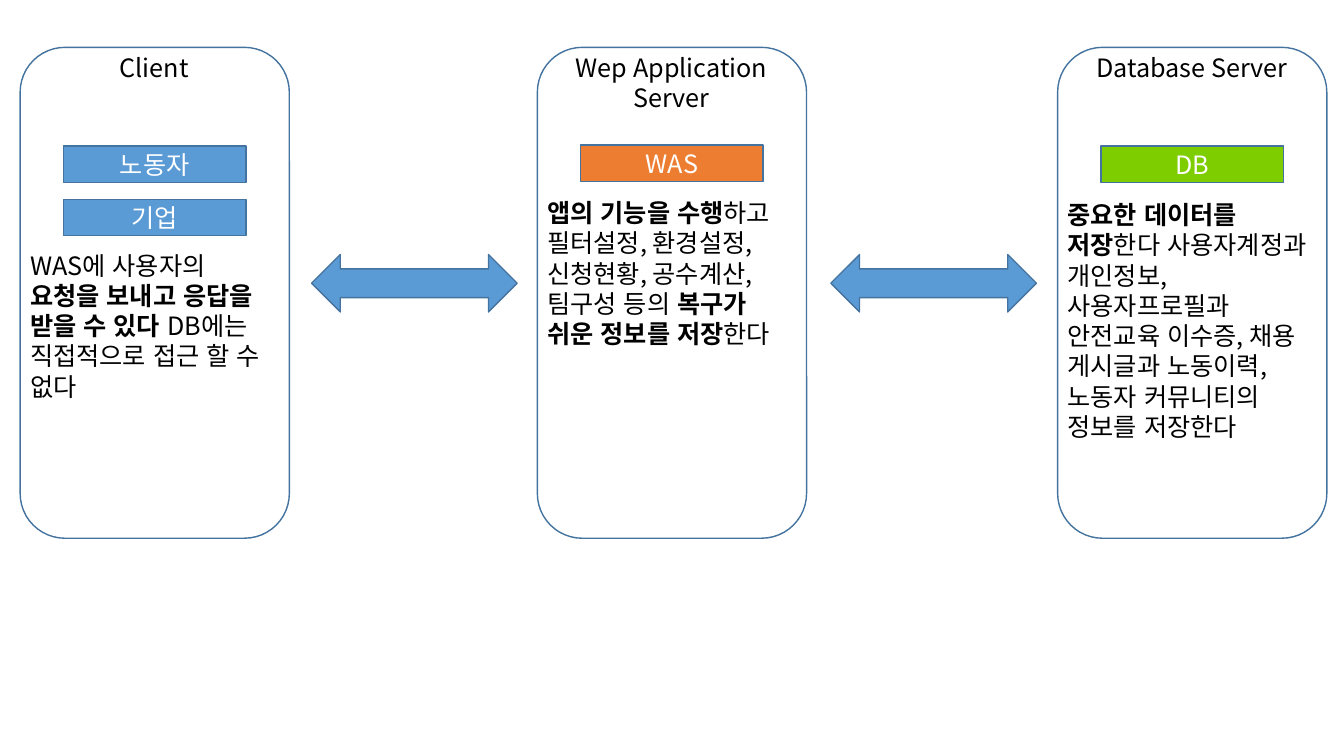
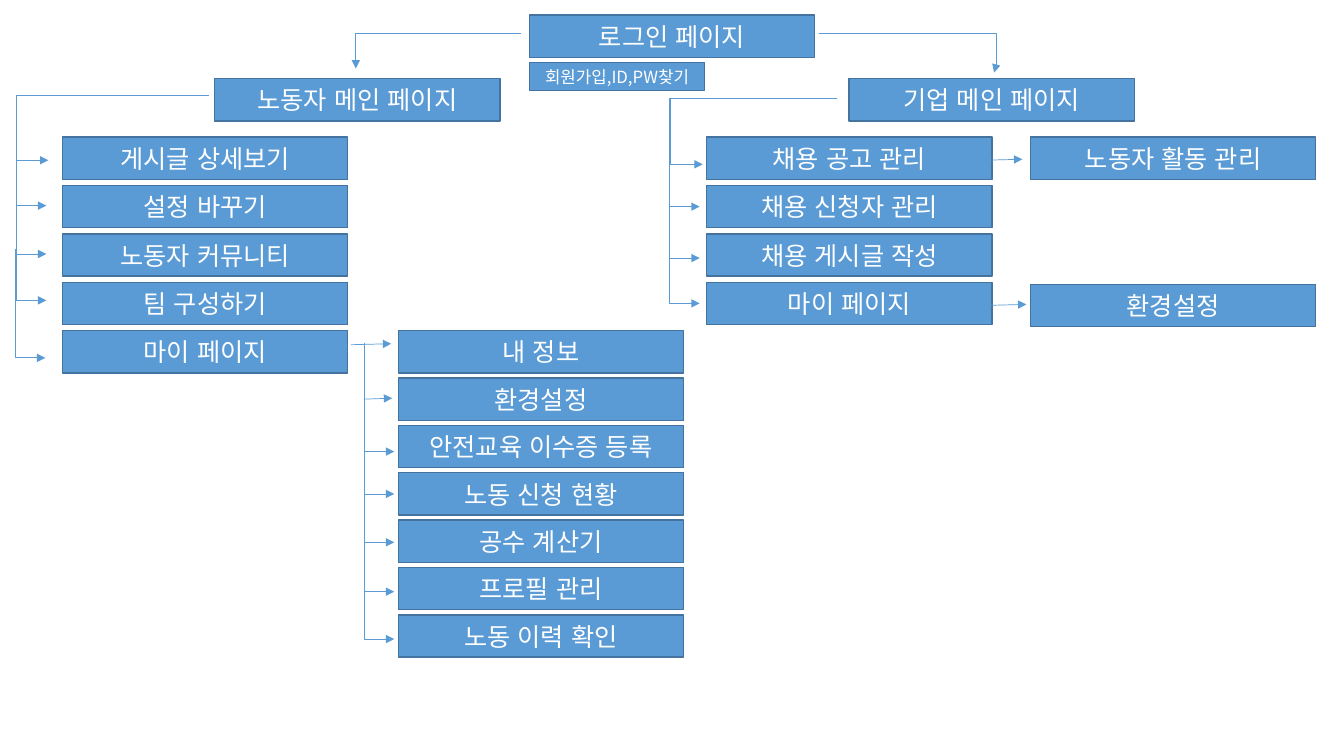
from lxml.etree import SubElement
from pptx import Presentation
from pptx.dml.color import RGBColor
from pptx.enum.lang import MSO_LANGUAGE_ID
from pptx.enum.shapes import MSO_CONNECTOR, MSO_SHAPE
from pptx.enum.text import MSO_ANCHOR, PP_ALIGN
from pptx.oxml.ns import qn
from pptx.util import Inches, Pt

COLORS = {
    "blue": "5B9BD5",
    "edge": "43739E",
    "orange": "ED7D31",
    "green": "7DCD00",
    "white": "FFFFFF",
    "black": "000000",
}
FONT = "Noto Sans CJK KR"
COLUMNS, ROWS = 1333, 750
BOX_WIDTH, BOX_HEIGHT = 283, 42


def apply_format(target, values):
    for name, value in values.items():
        setattr(target, name, value)


class Diagram:
    def __init__(self):
        self.deck = Presentation()
        apply_format(self.deck, {"slide_width": Inches(13.33), "slide_height": Inches(7.5)})
        self.page = None

    def add_page(self):
        self.page = self.deck.slides.add_slide(self.deck.slide_layouts[6])

    def column(self, count):
        return round(self.deck.slide_width * count / COLUMNS)

    def row(self, count):
        return round(self.deck.slide_height * count / ROWS)

    def area(self, left, top, width, height):
        return self.column(left), self.row(top), self.column(width), self.row(height)

    def fill_text(self, frame, paragraphs, color, size=18, align=PP_ALIGN.LEFT):
        frame.word_wrap = True
        for index, spans in enumerate(paragraphs):
            para = frame.paragraphs[0] if index == 0 else frame.add_paragraph()
            para.alignment = align
            for text, bold in spans:
                span = para.add_run()
                span.text = text
                apply_format(span.font, {
                    "name": FONT,
                    "size": Pt(size),
                    "bold": bold,
                    "language_id": MSO_LANGUAGE_ID.KOREAN,
                })
                span.font.color.rgb = RGBColor.from_string(COLORS[color])
                SubElement(span.font._element, qn("a:ea"), typeface=FONT)

    def shape(self, kind, area, fill="blue"):
        shape = self.page.shapes.add_shape(kind, *self.area(*area))
        shape.shadow.inherit = False
        shape.fill.solid()
        shape.fill.fore_color.rgb = RGBColor.from_string(COLORS[fill])
        shape.line.color.rgb = RGBColor.from_string(COLORS["edge"])
        shape.line.width = Pt(1)
        return shape

    def box(self, text, left, top, width=BOX_WIDTH, height=BOX_HEIGHT, fill="blue", size=18):
        frame = self.shape(MSO_SHAPE.RECTANGLE, (left, top, width, height), fill).text_frame
        frame.vertical_anchor = MSO_ANCHOR.MIDDLE
        self.fill_text(frame, [[(text, False)]], "white", size, PP_ALIGN.CENTER)

    def stack(self, texts, left, top, pitch):
        for index, text in enumerate(texts):
            self.box(text, left, top + index * pitch)

    def text(self, paragraphs, area, align=PP_ALIGN.LEFT):
        box = self.page.shapes.add_textbox(*self.area(*area))
        self.fill_text(box.text_frame, paragraphs, "black", align=align)

    def arrow(self, start, end, bend=None):
        kind = MSO_CONNECTOR.STRAIGHT if bend is None else MSO_CONNECTOR.ELBOW
        arrow = self.page.shapes.add_connector(
            kind, self.column(start[0]), self.row(start[1]), self.column(end[0]), self.row(end[1]))
        arrow.line.color.rgb = RGBColor.from_string(COLORS["blue"])
        arrow.line.width = Pt(0.5)
        properties = arrow._element.spPr
        SubElement(properties.find(qn("a:ln")), qn("a:tailEnd"), type="triangle")
        SubElement(properties, qn("a:effectLst"))
        if bend is not None:
            guides = properties.find(qn("a:prstGeom")).find(qn("a:avLst"))
            SubElement(guides, qn("a:gd"), name="adj1", fmla=f"val {round(bend * 100000)}")

    def branches(self, trunk, tips):
        for tip in tips:
            self.arrow((trunk, tip - 108), (trunk + 30, tip), bend=0)


def build_architecture(diagram):
    tiers = [
        {
            "left": 20, "title": "Client", "body_top": 243,
            "chips": [("노동자", 145, "blue"), ("기업", 198, "blue")],
            "body": [[("WAS에 사용자의 ", False), ("요청을 보내고 응답을 받을 수 있다", True),
                      (" DB에는 직접적으로 접근 할 수 없다", False)]],
        },
        {
            "left": 533, "title": "Wep Application Server", "body_top": 191,
            "chips": [("WAS", 144, "orange")],
            "body": [[("앱의 기능을 수행", True), ("하고", False)],
                     [("필터설정, 환경설정,", False)],
                     [("신청현황, 공수계산,", False)],
                     [("팀구성 등의 ", False), ("복구가 쉬운 정보를 저장", True), ("한다", False)]],
        },
        {
            "left": 1049, "title": "Database Server", "body_top": 193,
            "chips": [("DB", 145, "green")],
            "body": [[("중요한 데이터를 저장", True),
                      ("한다 사용자계정과 개인정보, 사용자프로필과 안전교육 이수증, "
                       "채용 게시글과 노동이력, 노동자 커뮤니티의 정보를 저장한다", False)]],
        },
    ]
    diagram.add_page()
    for tier in tiers:
        left = tier["left"]
        diagram.shape(MSO_SHAPE.ROUNDED_RECTANGLE, (left, 47, 267, 487), "white")
        diagram.text([[(tier["title"], False)]], (left + 1, 47, 264, 71), PP_ALIGN.CENTER)
        for text, top, fill in tier["chips"]:
            diagram.box(text, left + 43, top, 181, 36, fill)
        diagram.text(tier["body"], (left, tier["body_top"], 267, 222))
    for left in (309, 824):
        diagram.shape(MSO_SHAPE.LEFT_RIGHT_ARROW, (left, 252.5, 204, 57))


def build_page_map(diagram):
    diagram.add_page()
    diagram.box("로그인 페이지", 525, 15)
    diagram.box("회원가입,ID,PW찾기", 525, 62, 174, 28, size=12)
    diagram.box("노동자 메인 페이지", 213, 78)
    diagram.box("기업 메인 페이지", 842, 78)
    diagram.stack(["게시글 상세보기", "설정 바꾸기", "노동자 커뮤니티", "팀 구성하기", "마이 페이지"],
                  62, 136, 48)
    diagram.stack(["내 정보", "환경설정", "안전교육 이수증 등록", "노동 신청 현황", "공수 계산기",
                   "프로필 관리", "노동 이력 확인"], 395, 328, 47)
    diagram.stack(["채용 공고 관리", "채용 신청자 관리", "채용 게시글 작성", "마이 페이지"],
                  701, 136, 48)
    diagram.stack(["노동자 활동 관리", "환경설정"], 1022, 136, 146)

    diagram.arrow((517, 33), (353, 68), bend=1)
    diagram.arrow((812, 33), (986, 72), bend=1.01)
    diagram.arrow((207, 95), (48, 159), bend=1.2)
    diagram.arrow((830, 98), (697, 163), bend=1.24)
    diagram.branches(16, [204, 252, 298])
    diagram.branches(15, [355])
    diagram.branches(664, [205, 256, 301])
    diagram.branches(361, [448, 490, 538, 587, 634])
    for start, end in [((348, 342), (388, 341)), ((361, 396), (389, 395)),
                       ((978, 303), (1018, 302)), ((974, 159), (1014, 158))]:
        diagram.arrow(start, end)


def main():
    diagram = Diagram()
    build_architecture(diagram)
    build_page_map(diagram)
    diagram.deck.save("out.pptx")


if __name__ == "__main__":
    main()
